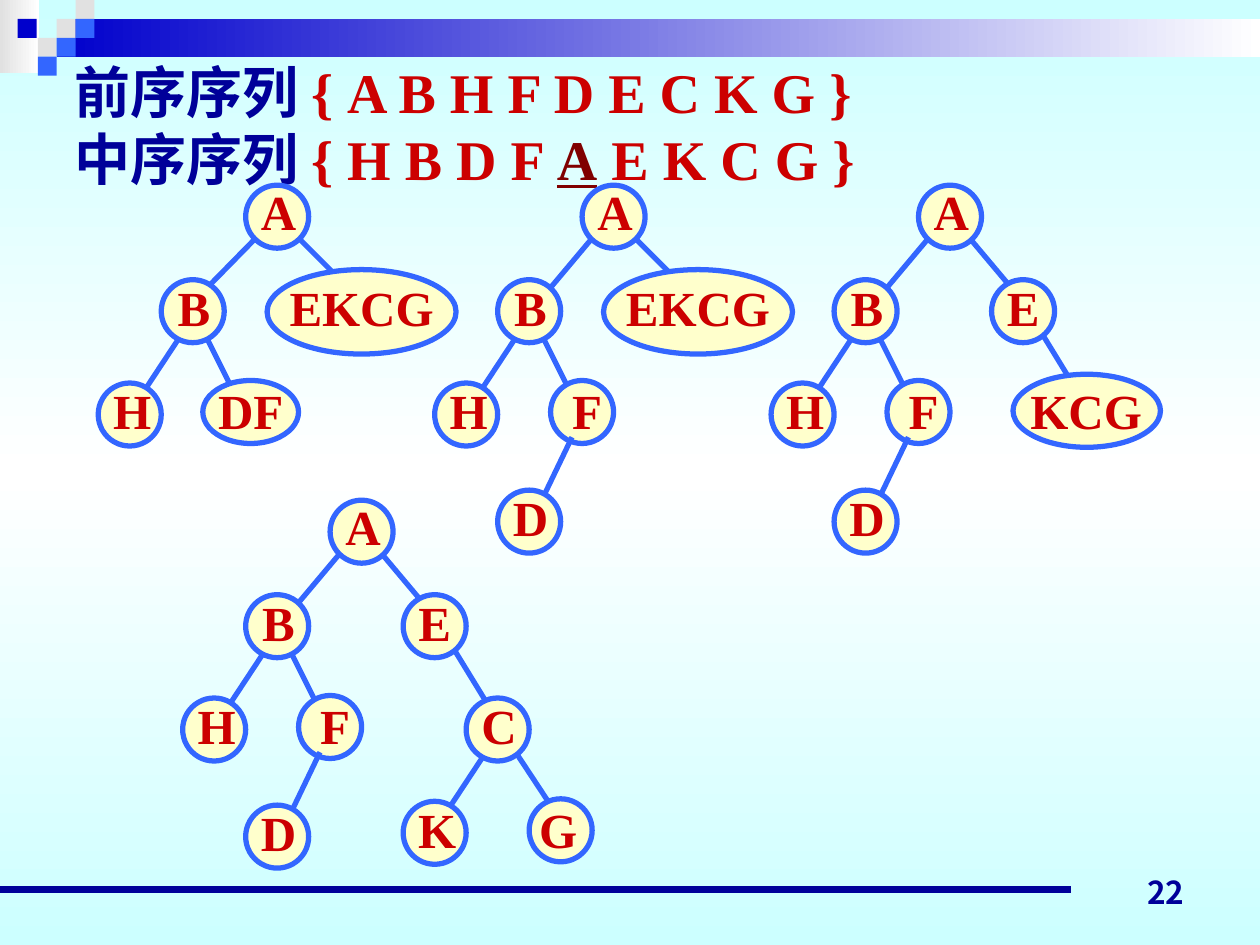
from copy import deepcopy

from lxml.etree import SubElement
from pptx import Presentation
from pptx.dml.color import RGBColor
from pptx.enum.shapes import MSO_CONNECTOR, MSO_SHAPE
from pptx.enum.text import MSO_ANCHOR, PP_ALIGN
from pptx.oxml.ns import qn
from pptx.util import Inches, Pt

THEME = {
    "navy": RGBColor(0x00, 0x00, 0x99),
    "blue": RGBColor(0x00, 0x00, 0xCC),
    "sky": RGBColor(0x33, 0x66, 0xFF),
    "grey": RGBColor(0xE1, 0xE1, 0xE1),
    "white": RGBColor(0xFF, 0xFF, 0xFF),
    "aqua": RGBColor(0xCC, 0xFF, 0xFF),
    "cream": RGBColor(0xFF, 0xFF, 0xCC),
    "red": RGBColor(0xCC, 0x00, 0x00),
    "maroon": RGBColor(0x80, 0x00, 0x00),
    "serif": "Times New Roman",
    "sans": "Noto Sans CJK JP",
    "title": Pt(32),
    "node": Pt(28),
    "number": Pt(18),
}


def add_line(shapes, start, end, color, width):
    """Add a straight line between two points given in inches."""
    line = shapes.add_connector(MSO_CONNECTOR.STRAIGHT, *map(Inches, start + end))
    line.line.color.rgb = THEME[color]
    line.line.width = Pt(width)
    SubElement(line._element.spPr, qn("a:effectLst"))


def add_text(shapes, box, runs, font, size, align, anchor, wrap=True):
    """Add a bold text box from (text, colour) runs; a newline breaks the line."""
    tf = shapes.add_textbox(*map(Inches, box)).text_frame
    tf.word_wrap = wrap
    tf.vertical_anchor = anchor
    p = tf.paragraphs[0]
    p.alignment = align
    for text, color in runs:
        if text == "\n":
            p.add_line_break()
            continue
        r = p.add_run()
        r.text = text
        r.font.name = THEME[font]
        r.font.size = THEME[size]
        r.font.bold = True
        r.font.color.rgb = THEME[color]
        if color == "maroon":
            r.font.underline = True


prs = Presentation()
prs.slide_width, prs.slide_height = Inches(10), Inches(7.5)
slide = prs.slides.add_slide(prs.slide_layouts[6])

# Background: aqua, white in the middle, aqua again
fill = slide.background.fill
fill.gradient()
fill.gradient_angle = 270
stop_list = slide._element.xpath(".//a:gsLst")[0]
stop_list.append(deepcopy(stop_list[0]))
for stop, position, color in zip(fill.gradient_stops, (0, 0.5, 1), ("aqua", "white", "aqua")):
    stop.position = position
    stop.color.rgb = THEME[color]

# Header: two fading bars, then small squares
SQUARE = 0.15
header = [((0, 0, 0.31, 0.58), "grey", True), ((0.45, 0.15, 9.55, 0.3), "blue", True)]
for x, y, color in [(0.45, 0.15, "grey"), (0.6, 0, "grey"), (0.6, 0.15, "sky"), (0.3, 0.3, "grey"),
                    (0.14, 0.15, "blue"), (0.45, 0.3, "sky"), (0.3, 0.45, "sky")]:
    header.append(((x, y, SQUARE, SQUARE), color, False))
for box, color, fades in header:
    sp = slide.shapes.add_shape(MSO_SHAPE.RECTANGLE, *map(Inches, box))
    sp.shadow.inherit = False
    sp.line.fill.background()
    if fades:
        sp.fill.gradient()
        sp.fill.gradient_angle = 0
        for stop, position, name in zip(sp.fill.gradient_stops, (0, 1), (color, "white")):
            stop.position = position
            stop.color.rgb = THEME[name]
    else:
        sp.fill.solid()
        sp.fill.fore_color.rgb = THEME[color]

# Footer
add_line(slide.shapes, (0, 7.06), (8.5, 7.06), "navy", 4.5)
add_text(slide.shapes, (7.17, 6.78, 2.33, 0.5), [("22", "navy")], "sans", "number",
         PP_ALIGN.RIGHT, MSO_ANCHOR.BOTTOM)

# Title
title = [("前序序列 ", "navy"), ("{ A B H F D E C K G }", "red"), ("\n", "red"),
         ("中序序列 ", "navy"), ("{ H B D F ", "red"), ("A", "maroon"), (" E K C G }", "red")]
add_text(slide.shapes, (0.49, 0.44, 9, 1.1), title, "serif", "title",
         PP_ALIGN.LEFT, MSO_ANCHOR.MIDDLE)

# Nodes relative to the root's corner: left, top, width, height, label centre, label top
D = 0.5
NODES = {
    "A": (0, 0, D, D, 0.26, -0.08),
    "B": (-0.67, 0.75, D, D, -0.41, 0.68),
    "E": (0.58, 0.75, D, D, 0.83, 0.68),
    "EKCG": (0.17, 0.67, 1.5, 0.67, 0.92, 0.68),
    "H": (-1.17, 1.57, D, D, -0.91, 1.5),
    "F": (-0.25, 1.55, D, D, 0.04, 1.5),
    "DF": (-0.34, 1.55, 0.76, D, 0.04, 1.5),
    "C": (1.08, 1.57, D, D, 1.34, 1.5),
    "KCG": (0.75, 1.5, 1.17, 0.58, 1.33, 1.5),
    "D": (-0.67, 2.42, D, D, -0.41, 2.35),
    "K": (0.58, 2.39, D, D, 0.84, 2.32),
    "G": (1.58, 2.37, D, D, 1.8, 2.32),
}
# Edge from the parent to each node, relative to the same corner
EDGES = {
    "B": (0.08, 0.42, -0.34, 0.92),
    "E": (0.33, 0.33, 0.75, 0.83),
    "EKCG": (0.42, 0.42, 0.92, 0.92),
    "H": (-0.5, 1.17, -0.83, 1.67),
    "F": (-0.33, 1.17, -0.08, 1.67),
    "DF": (-0.33, 1.17, -0.08, 1.67),
    "C": (0.92, 1.08, 1.33, 1.75),
    "KCG": (0.92, 1.08, 1.33, 1.75),
    "D": (-0.08, 2, -0.33, 2.52),
    "K": (1.25, 1.98, 0.92, 2.48),
    "G": (1.42, 1.92, 1.75, 2.42),
}
TREES = [
    (1.95, 1.47, "A B EKCG H DF"),
    (4.62, 1.47, "A B EKCG H F D"),
    (7.29, 1.47, "A B E H F KCG D"),
    (2.62, 3.97, "A B E H F C D K G"),
]
for left, top, names in TREES:
    shapes = slide.shapes.add_group_shape().shapes
    names = names.split()
    # The edge to D lies over its parent, the other edges lie behind all nodes
    steps = [("edge", n) for n in names if n not in "AD"]
    for name in names:
        steps += [("edge", name)] * (name == "D") + [("node", name)]
    for kind, name in steps:
        if kind == "edge":
            x1, y1, x2, y2 = EDGES[name]
            if name == "B" and "DF" in names:
                x2 = -0.41
            add_line(shapes, (left + x1, top + y1), (left + x2, top + y2), "sky", 3)
            continue
        x, y, w, h, label_x, label_y = NODES[name]
        sp = shapes.add_shape(MSO_SHAPE.OVAL, *map(Inches, (left + x, top + y, w, h)))
        sp.shadow.inherit = False
        sp.fill.solid()
        sp.fill.fore_color.rgb = THEME["cream"]
        sp.line.color.rgb = THEME["sky"]
        sp.line.width = Pt(3)
        label_w = {1: 0.48, 2: 0.75, 3: 1.09, 4: 1.35}[len(name)]
        add_text(shapes, (left + label_x - label_w / 2, top + label_y, label_w, 0.57),
                 [(name, "red")], "serif", "node", PP_ALIGN.CENTER, MSO_ANCHOR.MIDDLE, wrap=False)

prs.save("out.pptx")
